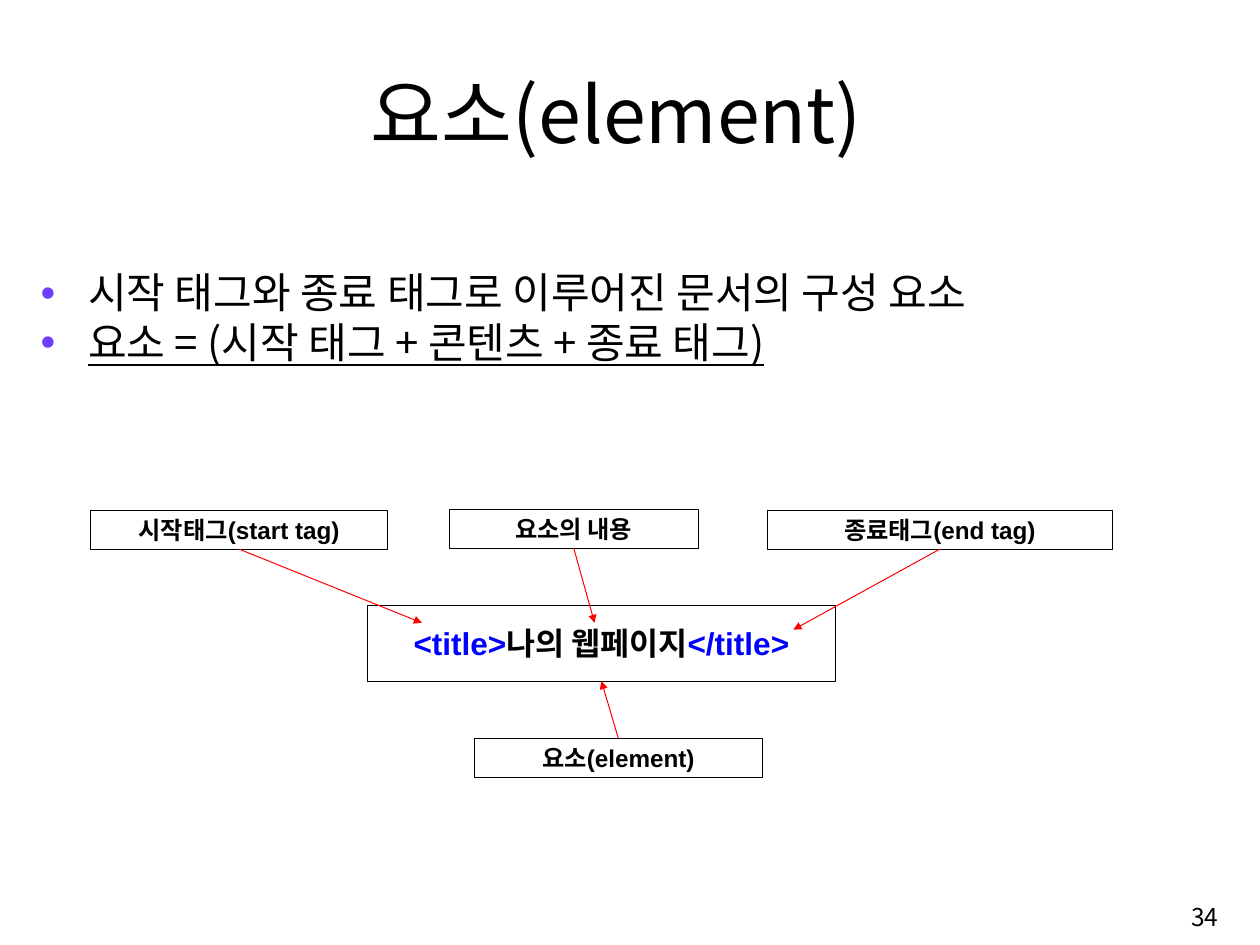
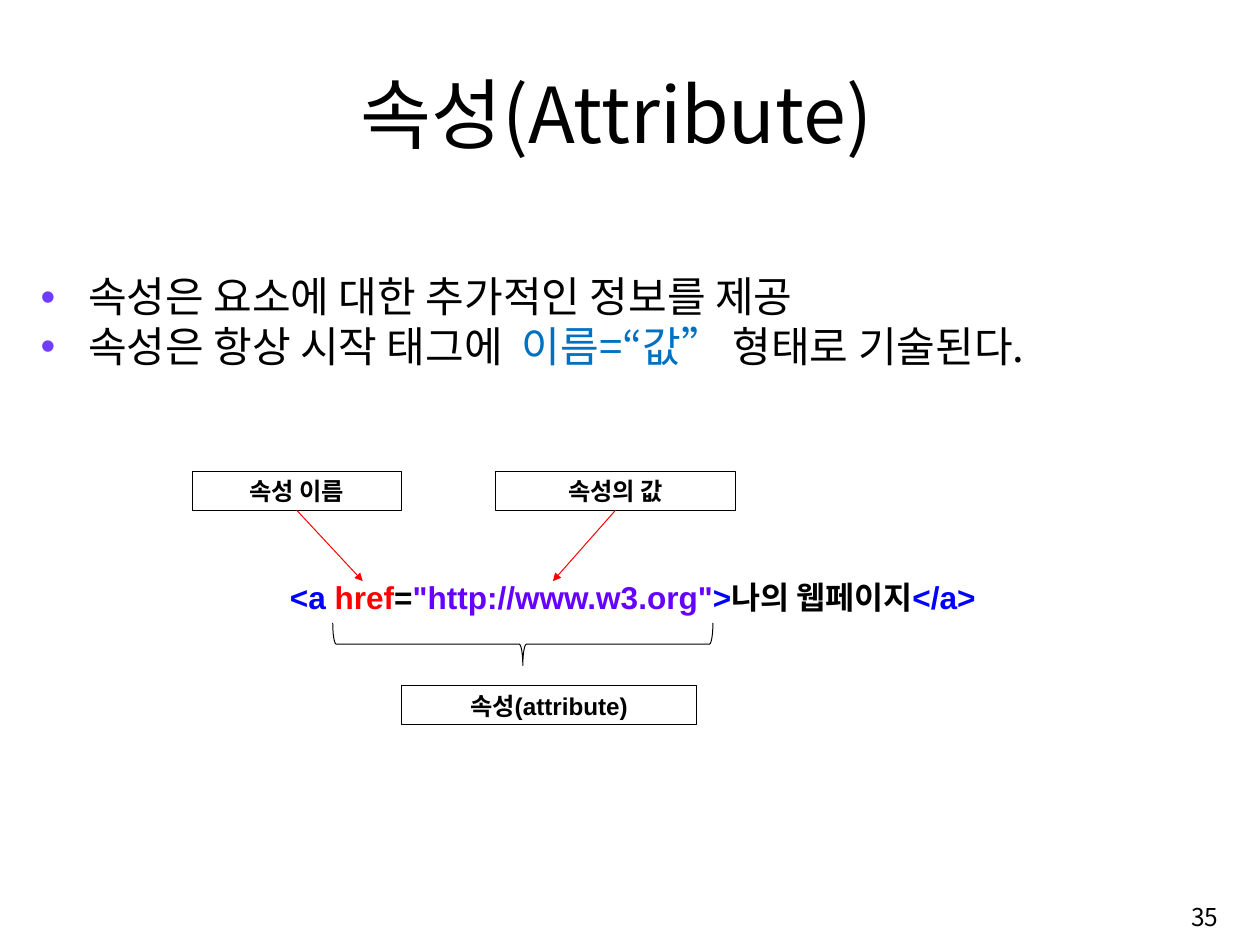
"""Builds two slides on HTML elements and attributes."""
from dataclasses import dataclass

from lxml import etree
from pptx import Presentation
from pptx.dml.color import RGBColor
from pptx.enum.shapes import MSO_CONNECTOR, MSO_SHAPE
from pptx.enum.text import MSO_ANCHOR, PP_ALIGN
from pptx.oxml.ns import qn
from pptx.util import Inches, Pt

RECT, BRACE = MSO_SHAPE.RECTANGLE, MSO_SHAPE.RIGHT_BRACE
STRAIGHT = MSO_CONNECTOR.STRAIGHT
LEFT, CENTER, RIGHT = PP_ALIGN.LEFT, PP_ALIGN.CENTER, PP_ALIGN.RIGHT
TOP, MIDDLE, BOTTOM = MSO_ANCHOR.TOP, MSO_ANCHOR.MIDDLE, MSO_ANCHOR.BOTTOM
TOP_SITE, BOTTOM_SITE = 0, 2


@dataclass(frozen=True)
class Theme:
    sans: str = "Noto Sans CJK KR"
    code: str = "Arial"
    ink: str = "000000"
    bullet: str = "703DFF"
    tag: str = "0000FF"
    red: str = "FF0000"
    value: str = "6600FF"
    accent: str = "0070C0"
    title_size: float = 57.2
    body_size: float = 31.2
    code_size: float = 23.4
    label_size: float = 18
    number_size: float = 18.2
    line: float = 0.75
    label_height: float = 0.4


T = Theme()

SLIDES = [
    {
        "number": "34",
        "title": "요소(element)",
        "body_top": 2.76,
        "bullets": [
            [("시작 태그와 종료 태그로 이루어진 문서의 구성 요소", T.ink)],
            [("요소 = (시작 태그 + 콘텐츠 + 종료 태그)", T.ink)],
        ],
        "underlined": 1,
        "code": [("<title>", T.tag), ("나의 웹페이지", T.ink), ("</title>", T.tag)],
        "code_box": (3.79, 6.24, 4.82, 0.78),
        "framed": True,
        "labels": [
            ("시작태그(start tag)", 0.93, 5.26, 3.07, BOTTOM_SITE, (4.35, 6.42)),
            ("요소의 내용", 4.63, 5.25, 2.57, BOTTOM_SITE, (6.13, 6.42)),
            ("종료태그(end tag)", 7.91, 5.26, 3.56, BOTTOM_SITE, (8.18, 6.49)),
            ("요소(element)", 4.89, 7.61, 2.97, TOP_SITE, (6.2, 7.02)),
        ],
    },
    {
        "number": "35",
        "title": "속성(Attribute)",
        "body_top": 2.8,
        "bullets": [
            [("속성은 요소에 대한 추가적인 정보를 제공", T.ink)],
            [("속성은 항상 시작 태그에  ", T.ink), ("이름=“값”", T.accent),
             (" 형태로 기술된다.", T.ink)],
        ],
        "code": [("<a ", T.tag), ("href", T.red), ("=", T.ink),
                 ('"http://www.w3.org"', T.value), (">", T.tag),
                 ("나의 웹페이지", T.ink), ("</a>", T.tag)],
        "code_box": (2.86, 5.76, 7.66, 0.78),
        "labels": [
            ("속성 이름", 1.98, 4.86, 2.16, BOTTOM_SITE, (3.74, 5.99)),
            ("속성의 값", 5.11, 4.86, 2.47, BOTTOM_SITE, (5.7, 5.99)),
            ("속성(attribute)", 4.14, 7.07, 3.04, None, None),
        ],
        "brace": (5.17, 4.68, 0.44, 3.92),
    },
]


def rgb(color):
    return RGBColor.from_string(color)


def add_paragraph(p, runs, size, font, align=LEFT, bold=False, underline=False):
    p.alignment = align
    for text, color in runs:
        r = p.add_run()
        r.text = text
        f = r.font
        f.name, f.size, f.bold, f.underline = font, Pt(size), bold, underline
        f.color.rgb = rgb(color)
        ea = etree.SubElement(r._r.get_or_add_rPr(), qn("a:ea"))
        ea.set("typeface", T.sans)


def add_bullet(p):
    pPr = p._p.get_or_add_pPr()
    pPr.set("marL", str(Inches(0.49)))
    pPr.set("indent", str(-Inches(0.49)))
    color = etree.SubElement(pPr, qn("a:buClr"))
    etree.SubElement(color, qn("a:srgbClr")).set("val", T.bullet)
    etree.SubElement(pPr, qn("a:buFont")).set("typeface", T.code)
    etree.SubElement(pPr, qn("a:buChar")).set("char", "•")


def add_text(s, box, anchor):
    tf = s.shapes.add_textbox(*map(Inches, box)).text_frame
    tf.word_wrap = True
    tf.vertical_anchor = anchor
    return tf


def add_outline(s, kind, box):
    sp = s.shapes.add_shape(kind, *map(Inches, box))
    sp.shadow.inherit = False
    sp.fill.background()
    sp.line.color.rgb = rgb(T.ink)
    sp.line.width = Pt(T.line)
    sp.text_frame.vertical_anchor = MIDDLE
    return sp


def add_arrow(s, label, site, target):
    x, y = map(Inches, target)
    arrow = s.shapes.add_connector(STRAIGHT, x, y, x, y)
    arrow.begin_connect(label, site)
    arrow.line.color.rgb = rgb(T.red)
    arrow.line.width = Pt(T.line)
    etree.SubElement(arrow.line._get_or_add_ln(), qn("a:tailEnd")).set("type", "triangle")
    etree.SubElement(arrow._element.spPr, qn("a:effectLst"))


def add_frame(s, data):
    tf = add_text(s, (1.05, 0.61, 10.61, 1.08), BOTTOM)
    add_paragraph(tf.paragraphs[0], [(data["title"], T.ink)], T.title_size, T.sans, CENTER)
    tf = add_text(s, (9.98, 9.15, 2.68, 0.6), MIDDLE)
    add_paragraph(tf.paragraphs[0], [(data["number"], T.ink)], T.number_size, T.sans, RIGHT)


def add_body(s, data):
    top = data["body_top"]
    tf = add_text(s, (0.32, top, 12.32, 8.95 - top), TOP)
    for i, runs in enumerate(data["bullets"]):
        p = tf.add_paragraph() if i else tf.paragraphs[0]
        add_paragraph(p, runs, T.body_size, T.sans, underline=i == data.get("underlined"))
        p.line_spacing = 0.9
        p.space_before = Pt(3)
        add_bullet(p)


def add_diagram(s, data):
    framed = data.get("framed", False)
    box = data["code_box"]
    tf = add_outline(s, RECT, box).text_frame if framed else add_text(s, box, MIDDLE)
    tf.margin_left = tf.margin_right = Inches(0.13)
    tf.margin_top = tf.margin_bottom = Inches(0.06)
    add_paragraph(tf.paragraphs[0], data["code"], T.code_size, T.code,
                  CENTER if framed else LEFT, bold=True)
    for text, x, y, width, site, target in data["labels"]:
        label = add_outline(s, RECT, (x, y, width, T.label_height))
        add_paragraph(label.text_frame.paragraphs[0], [(text, T.ink)],
                      T.label_size, T.code, CENTER, bold=True)
        if target:
            add_arrow(s, label, site, target)
    if "brace" in data:
        add_outline(s, BRACE, data["brace"]).rotation = 90


def main():
    prs = Presentation()
    prs.slide_width, prs.slide_height = Inches(12.99), Inches(9.74)
    for data in SLIDES:
        s = prs.slides.add_slide(prs.slide_layouts[6])
        add_frame(s, data)
        add_body(s, data)
        add_diagram(s, data)
    prs.save("out.pptx")


if __name__ == "__main__":
    main()
